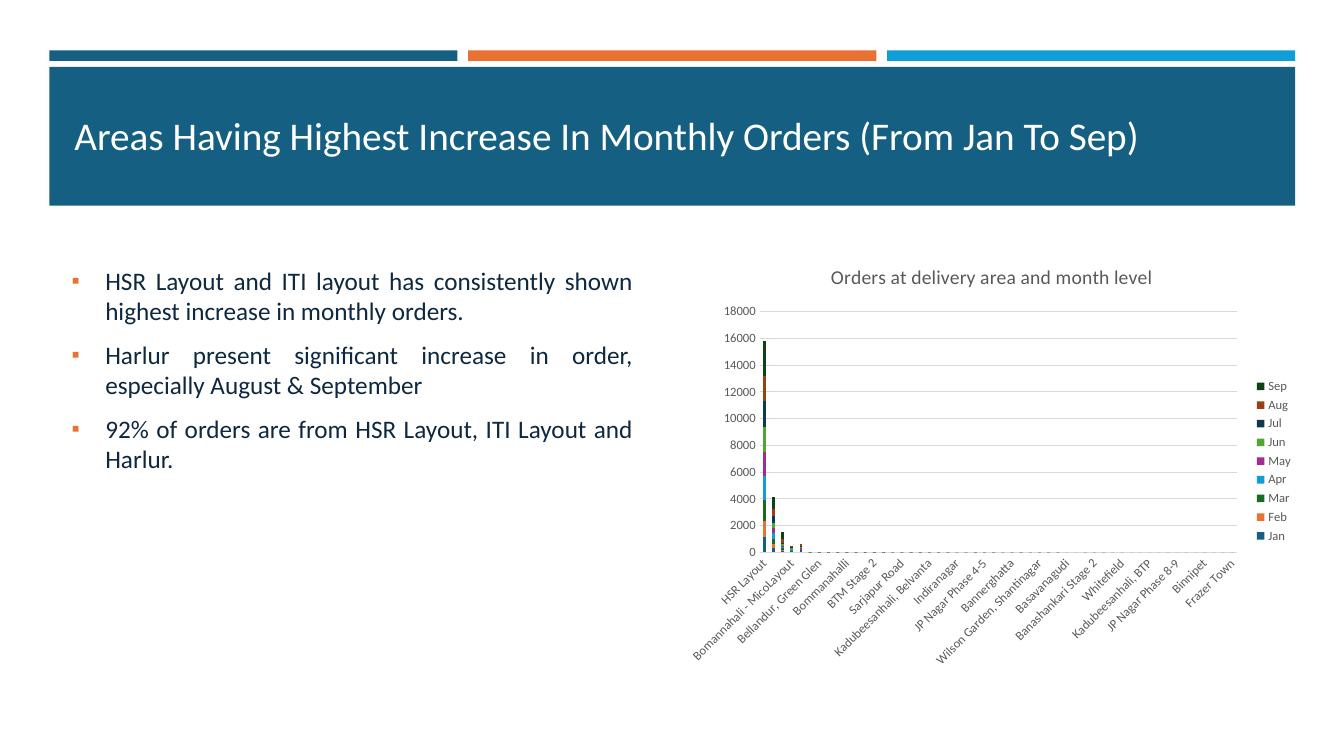
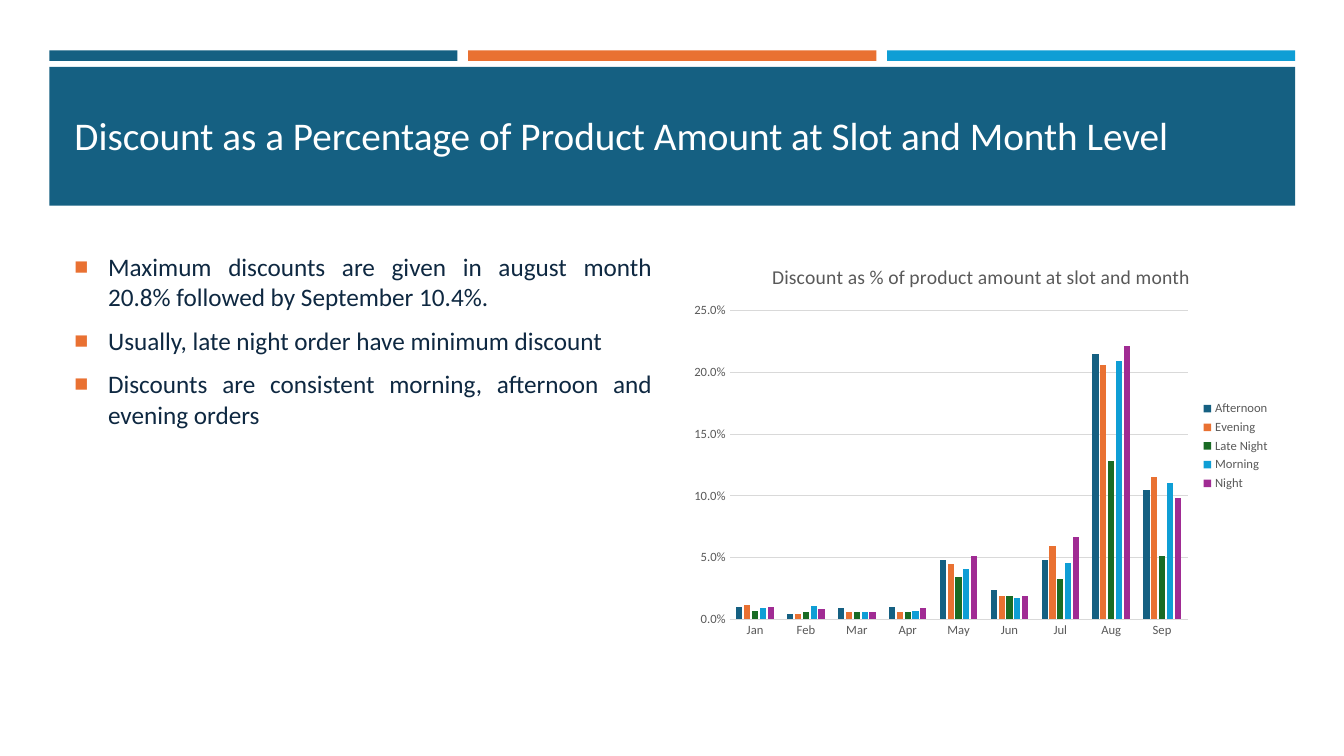
"""Build two slides on monthly orders and discounts, each with findings beside a chart."""
import dataclasses

import lxml.etree
import pptx
import pptx.chart.data
import pptx.dml.color
import pptx.enum.chart
import pptx.enum.shapes
import pptx.enum.text
import pptx.oxml.ns
import pptx.util

Pt = pptx.util.Pt
RGB = pptx.dml.color.RGBColor.from_string
ChartType = pptx.enum.chart.XL_CHART_TYPE
Align = pptx.enum.text.PP_ALIGN


@dataclasses.dataclass(frozen=True)
class Theme:
    font: str = "Calibri"
    blue: str = "156082"
    orange: str = "E97132"
    sky: str = "0F9ED5"
    white: str = "FFFFFF"
    body: str = "0E2841"
    label: str = "595959"
    grid: str = "D9D9D9"
    series: tuple = ("156082", "E97132", "196B24", "0F9ED5", "A02B93",
                     "4EA72E", "0D3A4E", "994010", "0F4016")
    title_size: float = 28
    body_size: float = 18
    chart_title_size: float = 14
    label_size: float = 9


def apply(target, **values):
    for name, value in values.items():
        setattr(target, name, value)


class Deck:
    def __init__(self, theme):
        self.theme = theme
        self.presentation = pptx.Presentation()
        apply(self.presentation, slide_width=Pt(960), slide_height=Pt(540))
        self.slide = None

    def set_font(self, font, size, color):
        apply(font, name=self.theme.font, size=Pt(size), bold=False)
        font.color.rgb = RGB(color)

    def place(self, shape, left, top, width, height):
        apply(shape, left=Pt(left), top=Pt(top), width=Pt(width), height=Pt(height))

    def add_slide(self, title):
        self.slide = self.presentation.slides.add_slide(self.presentation.slide_layouts[1])
        if len(self.presentation.slides) == 1:
            self.add_master_bands()
        shape = self.slide.shapes.title
        self.place(shape, 46, 57.6, 868, 77.8)
        shape.text = title
        apply(shape.text_frame, vertical_anchor=pptx.enum.text.MSO_ANCHOR.MIDDLE,
              auto_size=pptx.enum.text.MSO_AUTO_SIZE.NONE)
        paragraph = shape.text_frame.paragraphs[0]
        paragraph.alignment = Align.LEFT
        self.set_font(paragraph.runs[0].font, self.theme.title_size, self.theme.white)

    def add_master_bands(self):
        left, width, bar, theme = 35.2, 890, 291.6, self.theme
        step = (width - bar) / 2
        bands = [(left + index * step, 36, bar, 7.6, color)
                 for index, color in enumerate((theme.blue, theme.orange, theme.sky))]
        bands.append((left, 47.8, width, 99.2, theme.blue))
        master_tree = self.presentation.slide_master.shapes._spTree
        for index, (*box, color) in enumerate(bands):
            band = self.add_rectangle(box, color)
            band._element.nvSpPr.cNvPr.id = 100 + index
            master_tree.insert(2 + index, band._element)

    def add_rectangle(self, box, color):
        shape = self.slide.shapes.add_shape(
            pptx.enum.shapes.MSO_SHAPE.RECTANGLE, *map(Pt, box))
        shape.shadow.inherit = False
        shape.fill.solid()
        shape.fill.fore_color.rgb = RGB(color)
        shape.line.fill.background()
        return shape

    def add_bullets(self, lines, box, character):
        shape = self.slide.placeholders[1]
        self.place(shape, *box)
        frame = shape.text_frame
        frame.text = "\n".join(lines)
        frame.auto_size = pptx.enum.text.MSO_AUTO_SIZE.NONE
        for paragraph in frame.paragraphs:
            apply(paragraph, alignment=Align.JUSTIFY, space_before=Pt(3.6), space_after=Pt(6))
            self.set_font(paragraph.runs[0].font, self.theme.body_size, self.theme.body)
            self.set_bullet(paragraph, character)

    def set_bullet(self, paragraph, character):
        qualify = pptx.oxml.ns.qn
        properties = paragraph._p.get_or_add_pPr()
        indents = {"marL": Pt(24), "indent": -Pt(24)}
        for name, value in indents.items():
            properties.set(name, str(int(value)))
        color = lxml.etree.SubElement(properties, qualify("a:buClr"))
        lxml.etree.SubElement(color, qualify("a:srgbClr"), val=self.theme.orange)
        lxml.etree.SubElement(properties, qualify("a:buSzPct"), val="92000")
        lxml.etree.SubElement(properties, qualify("a:buChar"), char=character)

    def add_column_chart(self, kind, title, categories, series, box, overlap,
                         number_format="General"):
        theme = self.theme
        data = pptx.chart.data.CategoryChartData(number_format=number_format)
        data.categories = categories
        for name, values in series.items():
            data.add_series(name, values)
        chart = self.slide.shapes.add_chart(kind, *map(Pt, box), data).chart
        self.set_font(chart.font, theme.label_size, theme.label)

        chart.has_title = True
        chart.chart_title.include_in_layout = False
        chart.chart_title.text_frame.text = title
        title_run = chart.chart_title.text_frame.paragraphs[0].runs[0]
        self.set_font(title_run.font, theme.chart_title_size, theme.label)

        chart.has_legend = True
        apply(chart.legend, include_in_layout=False,
              position=pptx.enum.chart.XL_LEGEND_POSITION.RIGHT)
        self.set_font(chart.legend.font, theme.label_size, theme.label)

        plot = chart.plots[0]
        apply(plot, gap_width=219, overlap=overlap, vary_by_categories=False)
        for item, color in zip(plot.series, theme.series):
            item.format.fill.solid()
            item.format.fill.fore_color.rgb = RGB(color)

        no_mark = pptx.enum.chart.XL_TICK_MARK.NONE
        for axis in (chart.category_axis, chart.value_axis):
            apply(axis, major_tick_mark=no_mark, minor_tick_mark=no_mark)
            self.set_font(axis.tick_labels.font, theme.label_size, theme.label)
        apply(chart.value_axis.tick_labels, number_format=number_format,
              number_format_is_linked=False)
        chart.value_axis.format.line.fill.background()
        for line in (chart.category_axis.format.line,
                     chart.value_axis.major_gridlines.format.line):
            line.width = Pt(0.75)
            line.color.rgb = RGB(theme.grid)


AREAS = [
    "HSR Layout", "ITI Layout", "Harlur", "Bomannahali - MicoLayout", "Kudlu",
    "Koramangala, Ejipura", "Bellandur, Green Glen", "Bellandur, Sarjapur Road",
    "Mandira County", "Bommanahalli", "Bellandur - Off Sarjapur Road", "BTM Stage 1",
    "BTM Stage 2", "Bellandur, APR", "Akshaya Nagar", "Sarjapur Road", "Bilekahalli",
    "Bellandur, Sahira", "Kadubeesanhali, Belvanta", "Devarachikanna Halli",
    "Domlur, DGL", "Indiranagar", "Viveka Nagar", "Yemalur", "JP Nagar Phase 4-5",
    "Arekere", "JP Nagar Phase 6-7", "Bannerghatta", "JP Nagar Phase 1-3",
    "Kumaraswamy Layout", "Wilson Garden, Shantinagar", "Jayanagar", "Marathahalli",
    "Basavanagudi", "Richmond Town", "Doddanekundi", "Banashankari Stage 2",
    "Bellandur, BTQ", "Cox Town", "Whitefield", "Vimanapura", "Challagatta",
    "Kadubeesanhali, BTP", "Mahadevapura", "Victoria Layout", "JP Nagar Phase 8-9",
    "Bellandur, Workpark", "CV Raman Nagar", "Binnipet", "Pattandur", "Brookefield",
    "Frazer Town",
]

TOP_AREA_ORDERS = {
    "Jan": [1100, 300, 100, 100, 100],
    "Feb": [1200, 300, 100, 0, 0],
    "Mar": [1600, 400, 100, 0, 100],
    "Apr": [1800, 400, 100, 100, 0],
    "May": [1800, 400, 100, 0, 100],
    "Jun": [1900, 400, 100, 100, 100],
    "Jul": [1900, 500, 100, 100, 100],
    "Aug": [1900, 500, 300, 100, 100],
    "Sep": [2600, 900, 500, 0, 0],
}

SMALL_AREA_ORDERS = {
    "Jan": "000000000-00--00---00-00--00-------------0",
    "Feb": "000000000----00---00-0--0",
    "Mar": "0000000000-00000-----000-0------0-------------0",
    "Apr": "00000000000-0-0000000--0",
    "May": "00000000000000-000-0000000-000-----0-00",
    "Jun": "00000000000-0-0-000-00---------0--------0-0",
    "Jul": "000000000-0000--000-----0-0---00-0---------0-0",
    "Aug": "0000000000-00-----00--00--0---0-----0-------0",
    "Sep": "0000000000000000--0-0----0-0----0-0----0",
}

DISCOUNTS = {
    "Afternoon": [0.01, 0.004, 0.009, 0.01, 0.048, 0.024, 0.048, 0.215, 0.105],
    "Evening": [0.012, 0.004, 0.006, 0.006, 0.045, 0.019, 0.059, 0.206, 0.115],
    "Late Night": [0.007, 0.006, 0.006, 0.006, 0.034, 0.019, 0.033, 0.128, 0.051],
    "Morning": [0.009, 0.011, 0.006, 0.007, 0.041, 0.017, 0.046, 0.209, 0.11],
    "Night": [0.01, 0.008, 0.006, 0.009, 0.051, 0.019, 0.067, 0.221, 0.098],
}


def monthly_orders(month):
    top = TOP_AREA_ORDERS[month]
    rest = SMALL_AREA_ORDERS[month].ljust(len(AREAS) - len(top), "-")
    return top + [None if mark == "-" else 0 for mark in rest]


def main():
    deck = Deck(Theme())

    deck.add_slide("Areas Having Highest Increase In Monthly Orders (From Jan To Sep)")
    deck.add_bullets([
        "HSR Layout and ITI layout has consistently shown highest increase in monthly orders.",
        "Harlur present significant increase in order, especially August & September",
        "92% of orders are from HSR Layout, ITI Layout and Harlur.",
    ], (44, 185.8, 415.4, 265.7), "▪")
    deck.add_column_chart(
        ChartType.COLUMN_STACKED, "Orders at delivery area and month level", AREAS,
        {month: monthly_orders(month) for month in TOP_AREA_ORDERS},
        (486, 175.7, 445, 307.4), 100)

    deck.add_slide("Discount as a Percentage of Product Amount at Slot and Month Level")
    deck.add_bullets([
        "Maximum discounts are given in august month 20.8% followed by September 10.4%.",
        "Usually, late night order have minimum discount",
        "Discounts are consistent morning, afternoon and evening orders",
    ], (46, 175.7, 427, 285.8), "■")
    deck.add_column_chart(
        ChartType.COLUMN_CLUSTERED, "Discount as % of product amount at slot and month",
        list(TOP_AREA_ORDERS), DISCOUNTS, (487.4, 175.7, 427, 285.8), -27, "0.0%")

    deck.presentation.save("out.pptx")


if __name__ == "__main__":
    main()
